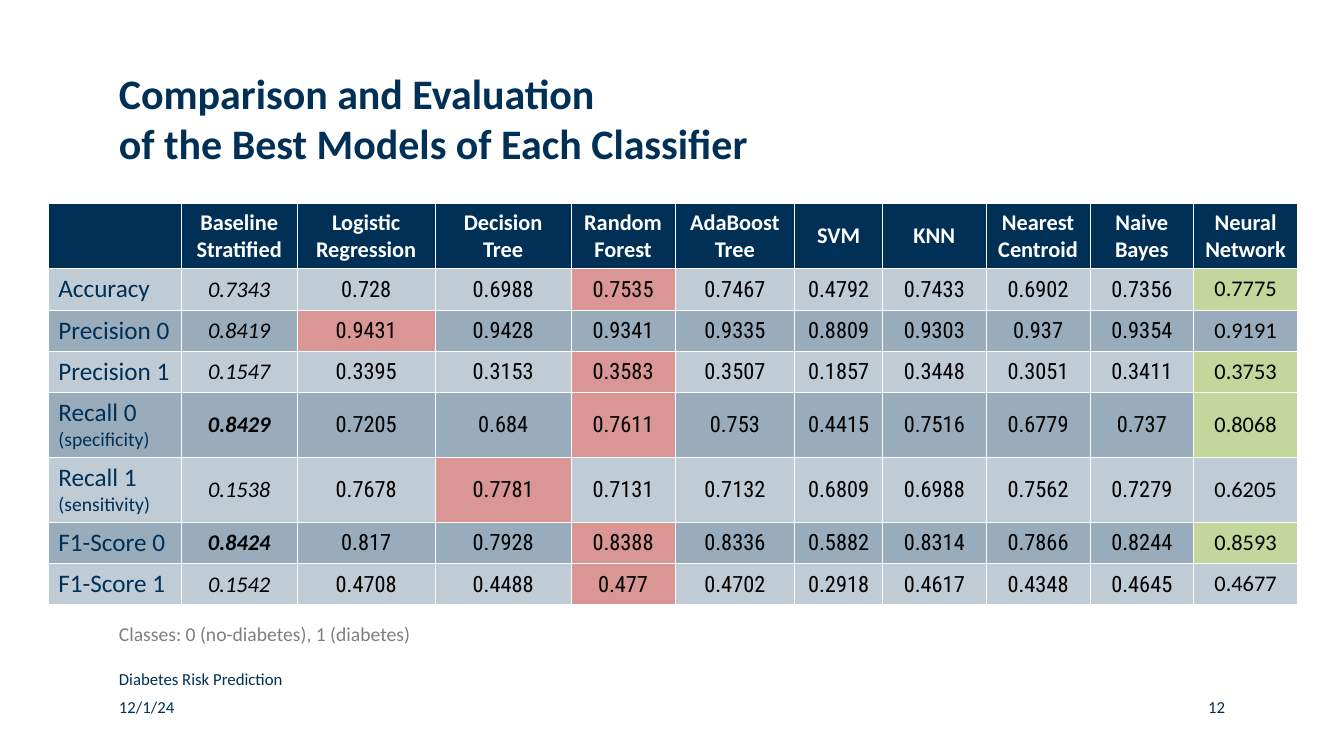
from lxml.etree import SubElement
from pptx import Presentation
from pptx.dml.color import RGBColor
from pptx.enum.text import MSO_ANCHOR, MSO_AUTO_SIZE, PP_ALIGN
from pptx.oxml.ns import qn
from pptx.util import Pt

EMU_PER_PX = 9144  # 100 px to the inch
NAVY = RGBColor(0x00, 0x30, 0x56)
WHITE = RGBColor(0xFF, 0xFF, 0xFF)
BLACK = RGBColor(0x00, 0x00, 0x00)
GRAY = RGBColor(0x7F, 0x7F, 0x7F)
LIGHT_BAND = RGBColor(0xBF, 0xCB, 0xD5)
DARK_BAND = RGBColor(0x99, 0xAC, 0xBB)
BEST_RED = RGBColor(0xD9, 0x96, 0x94)
NEURAL_GREEN = RGBColor(0xC3, 0xD6, 0x9B)

COLUMN_WIDTHS = [132, 115, 137, 135, 103, 119, 87, 103, 103, 103, 103]
SINGLE_ROW, DOUBLE_ROW = 41, 64
HEADERS = ["", "Baseline Stratified", "Logistic Regression", "Decision Tree",
           "Random Forest", "AdaBoost Tree", "SVM", "KNN",
           "Nearest Centroid", "Naive Bayes", "Neural Network"]
# Metric, then one score for each model in HEADERS
SCORES = [
    ("Accuracy", "0.7343 0.728 0.6988 0.7535 0.7467 0.4792 0.7433 0.6902 0.7356 0.7775"),
    ("Precision 0", "0.8419 0.9431 0.9428 0.9341 0.9335 0.8809 0.9303 0.937 0.9354 0.9191"),
    ("Precision 1", "0.1547 0.3395 0.3153 0.3583 0.3507 0.1857 0.3448 0.3051 0.3411 0.3753"),
    ("Recall 0\n(specificity)",
     "0.8429 0.7205 0.684 0.7611 0.753 0.4415 0.7516 0.6779 0.737 0.8068"),
    ("Recall 1\n(sensitivity)",
     "0.1538 0.7678 0.7781 0.7131 0.7132 0.6809 0.6988 0.7562 0.7279 0.6205"),
    ("F1-Score 0", "0.8424 0.817 0.7928 0.8388 0.8336 0.5882 0.8314 0.7866 0.8244 0.8593"),
    ("F1-Score 1", "0.1542 0.4708 0.4488 0.477 0.4702 0.2918 0.4617 0.4348 0.4645 0.4677"),
]


def px(length):
    return length * EMU_PER_PX


class SlideBuilder:
    font = "Calibri"
    number_font = "Roboto Condensed"

    def __init__(self, slide):
        self.slide = slide

    def format(self, paragraph, size, color, align=PP_ALIGN.LEFT, bold=False,
               italic=False, font=None):
        paragraph.alignment = align
        for run in paragraph.runs:
            run.font.name = font or self.font
            run.font.size = Pt(size)
            run.font.bold = bold
            run.font.italic = italic
            run.font.color.rgb = color

    def fill_frame(self, shape, text, box, size, color, padding=0, **style):
        shape.left, shape.top, shape.width, shape.height = map(px, box)
        frame = shape.text_frame
        frame.text = text
        frame.word_wrap = True
        frame.auto_size = MSO_AUTO_SIZE.NONE
        frame.vertical_anchor = MSO_ANCHOR.TOP
        frame.margin_left = frame.margin_right = 0
        frame.margin_top = frame.margin_bottom = px(padding)
        paragraph = frame.paragraphs[0]
        paragraph.line_spacing = 1.0
        paragraph.space_before = Pt(0)
        self.format(paragraph, size, color, **style)

    def title(self, text, box):
        self.fill_frame(self.slide.shapes.title, text, box, 30, NAVY, bold=True)

    def text(self, text, box, size=12, color=NAVY, **style):
        shape = self.slide.shapes.add_textbox(*map(px, box))
        self.fill_frame(shape, text, box, size, color, **style)

    def table(self, left, top, widths, heights):
        shape = self.slide.shapes.add_table(
            len(heights), len(widths), px(left), px(top), px(sum(widths)), px(sum(heights)))
        table = shape.table
        table.horz_banding = False
        for column, width in zip(table.columns, widths):
            column.width = px(width)
        for row, height in zip(table.rows, heights):
            row.height = px(height)
        return table

    def cell(self, cell, text, fill, size, color, tight=False, **style):
        cell.text = text
        cell.vertical_anchor = MSO_ANCHOR.MIDDLE
        if tight:
            cell.margin_left = cell.margin_right = cell.margin_top = px(1)
            cell.margin_bottom = 0
        for paragraph in cell.text_frame.paragraphs:
            self.format(paragraph, size, color, **style)
        self.borders(cell)
        cell.fill.solid()
        cell.fill.fore_color.rgb = fill

    def borders(self, cell):
        properties = cell._tc.get_or_add_tcPr()
        for side in ("a:lnL", "a:lnR", "a:lnT", "a:lnB"):
            line = SubElement(properties, qn(side), w=str(Pt(0.5)))
            solid = SubElement(line, qn("a:solidFill"))
            SubElement(solid, qn("a:srgbClr"), val=str(WHITE))


def add_score_row(builder, table, row, metric, values):
    band = LIGHT_BAND if row % 2 else DARK_BAND
    builder.cell(table.cell(row, 0), metric, band, 18, NAVY)
    for note in table.cell(row, 0).text_frame.paragraphs[1:]:
        builder.format(note, 14, NAVY)

    # Red marks the best classic model; the neural network is green where it wins
    best = max(map(float, values[1:-1]))
    neural = len(values)
    for column, value in enumerate(values, start=1):
        score = float(value)
        baseline = column == 1
        fill = band
        if column == neural and score > best:
            fill = NEURAL_GREEN
        elif 1 < column < neural and score == best:
            fill = BEST_RED
        builder.cell(
            table.cell(row, column), value, fill, 16, BLACK,
            tight=column < neural, align=PP_ALIGN.CENTER,
            bold=baseline and score > best, italic=baseline,
            font=builder.font if column in (1, neural) else builder.number_font)


def main():
    presentation = Presentation()
    presentation.slide_width, presentation.slide_height = px(1334), px(750)
    builder = SlideBuilder(presentation.slides.add_slide(presentation.slide_layouts[5]))

    # Title
    builder.title("Comparison and Evaluation\vof the Best Models of Each Classifier",
                  (118, 67, 785, 110))

    # Score table
    heights = [DOUBLE_ROW] + [DOUBLE_ROW if "\n" in metric else SINGLE_ROW
                              for metric, _ in SCORES]
    table = builder.table(48, 202, COLUMN_WIDTHS, heights)
    for column, header in enumerate(HEADERS):
        builder.cell(table.cell(0, column), header, NAVY, 16, WHITE,
                     align=PP_ALIGN.CENTER, bold=True)
    for row, (metric, values) in enumerate(SCORES, start=1):
        add_score_row(builder, table, row, metric, values.split())

    # Class note and footer
    builder.text("Classes: 0 (no-diabetes), 1 (diabetes)", (118, 612, 391, 34),
                 size=14, color=GRAY, padding=5)
    builder.text("Diabetes Risk Prediction", (118, 663, 422, 20))
    builder.text("12/1/24", (118, 691, 311, 20))
    builder.text("12", (1063, 691, 153, 20), align=PP_ALIGN.RIGHT)

    presentation.save("out.pptx")


if __name__ == "__main__":
    main()
